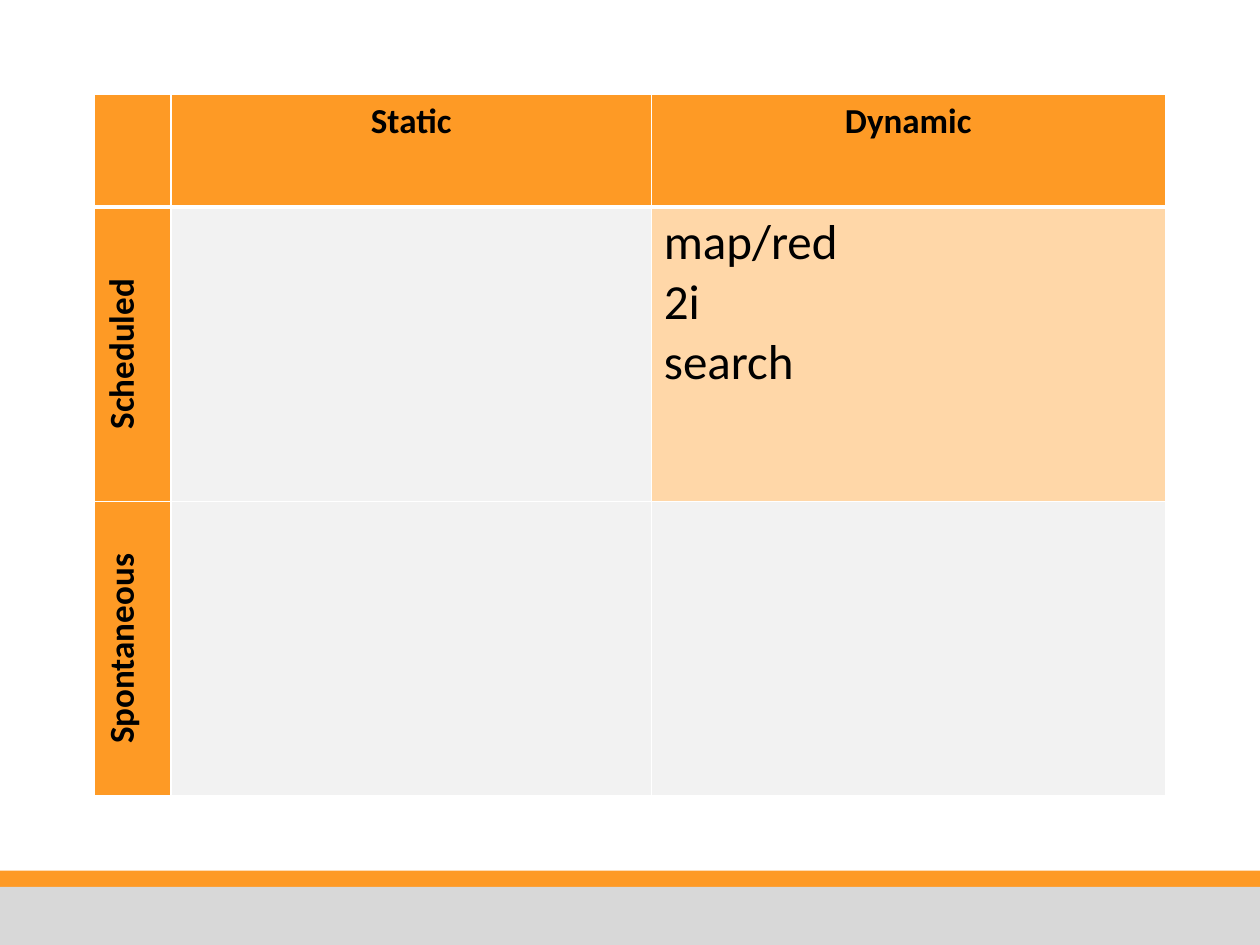
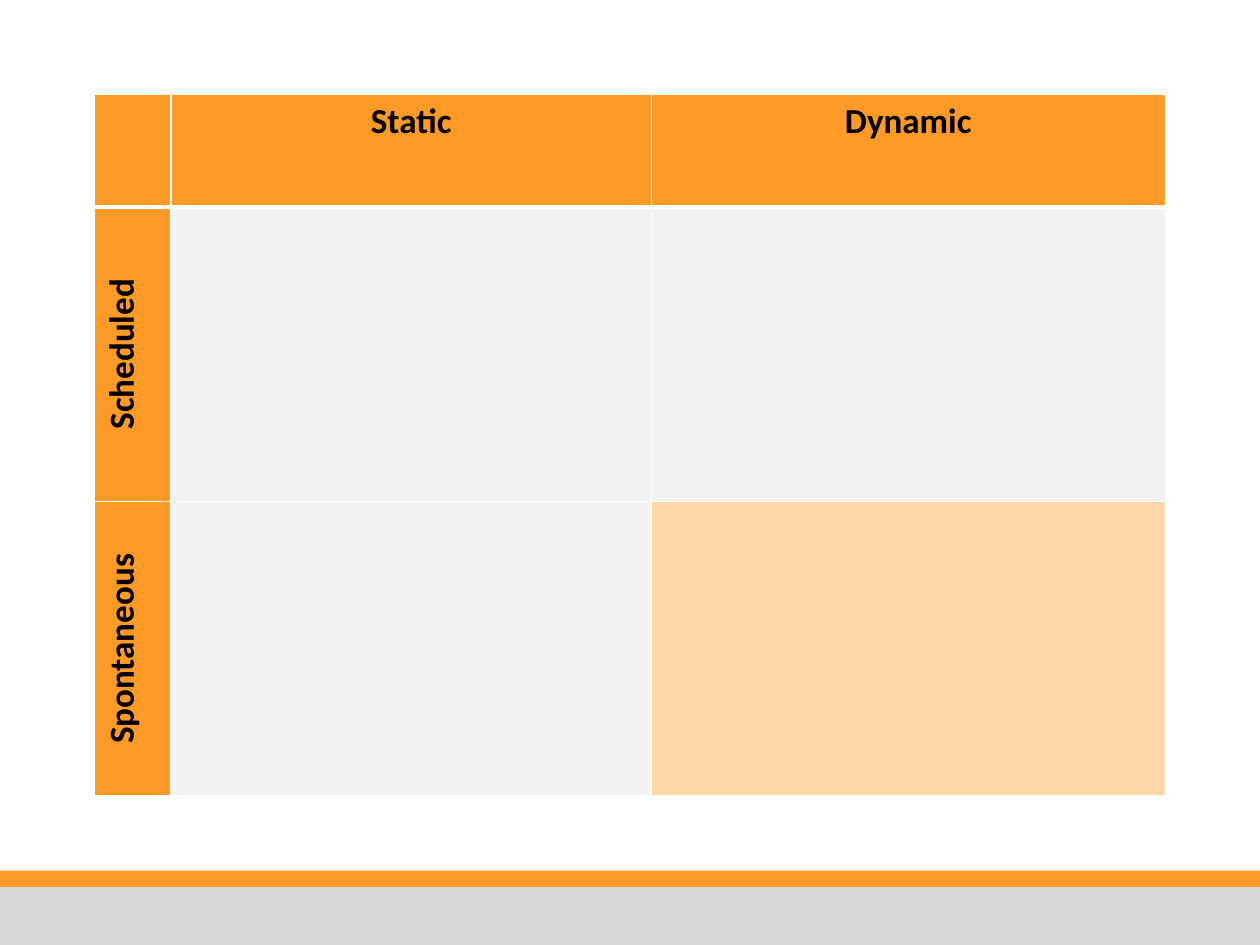
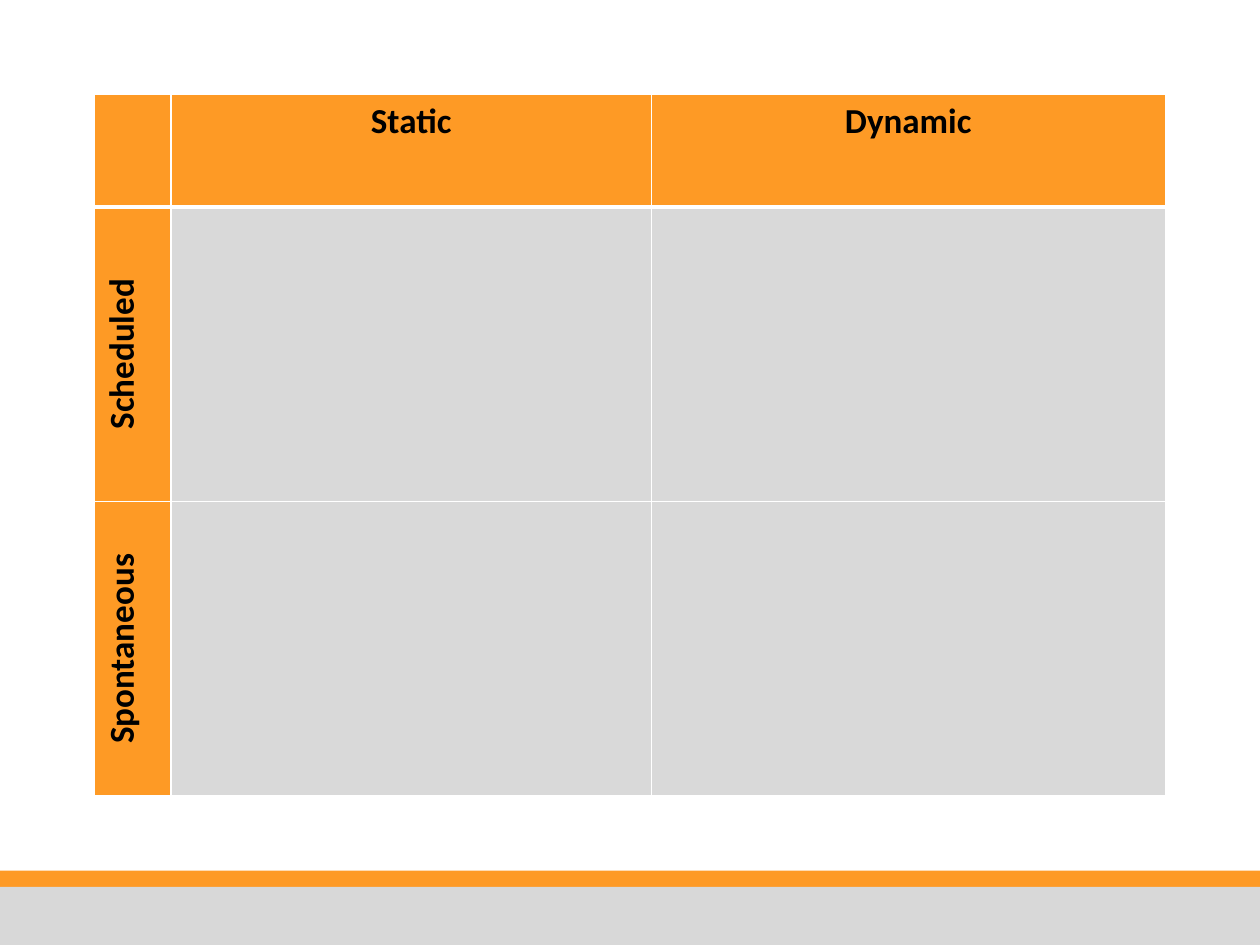
import pptx
import pptx.dml.color
import pptx.enum.shapes
import pptx.enum.text
import pptx.oxml
import pptx.oxml.ns
import pptx.util

Cm, Pt = pptx.util.Cm, pptx.util.Pt
Align = pptx.enum.text.PP_ALIGN

# Shared style
ORANGE, PEACH = "FE9A25", "FFD7A8"
PALE, GREY, BAND = "F2F2F2", "D9D9D9", "D8D8D8"
WHITE, BLACK = "FFFFFF", "000000"
FONT = "Calibri"

# Table grid
EDGE = 1.9
COLS = [1.55, 9.68, 10.36]
ROWS = [2.27, 5.94, 5.94]
HEADS = ["", "Static", "Dynamic"]
SIDES = ["", "Scheduled", "Spontaneous"]


def color(code):
    return pptx.dml.color.RGBColor.from_string(code)


class Deck:
    def __init__(self):
        self.prs = pptx.Presentation()
        self.prs.slide_width, self.prs.slide_height = Cm(25.4), Cm(19.05)
        self.slide = None

    def start(self):
        self.slide = self.prs.slides.add_slide(self.prs.slide_layouts[6])

    def band(self, top, height, fill, num):
        """Draw a full-width band and move it to the slide master."""
        bar = self.slide.shapes.add_shape(
            pptx.enum.shapes.MSO_SHAPE.RECTANGLE,
            0, Cm(top), self.prs.slide_width, Cm(height))
        bar.shadow.inherit = False
        bar.fill.solid()
        bar.fill.fore_color.rgb = color(fill)
        bar.line.fill.background()
        bar.element.xpath(".//p:cNvPr")[0].set("id", str(num))
        self.prs.slide_master.shapes.element.append(bar.element)

    def border(self, cell, top, bottom):
        props = cell._tc.get_or_add_tcPr()
        widths = {"L": 1, "R": 1, "T": top, "B": bottom}
        for spot, (side, width) in enumerate(widths.items()):
            props.insert(spot, pptx.oxml.parse_xml(
                f'<a:ln{side} {pptx.oxml.ns.nsdecls("a")} w="{Pt(width)}">'
                f'<a:solidFill><a:srgbClr val="{WHITE}"/></a:solidFill>'
                f'</a:ln{side}>'))

    def label(self, cell, text, size, bold, align):
        cell.text_frame.text = text
        for para in cell.text_frame.paragraphs:
            para.alignment = align
            for run in para.runs:
                run.font.name, run.font.size = FONT, Pt(size)
                run.font.bold = bold
                run.font.color.rgb = color(BLACK)

    def matrix(self, base, focus=None, note=""):
        """Draw the 2 x 2 matrix; focus is the (row, column) to stress."""
        table = self.slide.shapes.add_table(
            len(ROWS), len(COLS), Cm(EDGE), Cm(EDGE),
            Cm(sum(COLS)), Cm(sum(ROWS))).table
        table.horz_banding = False
        for col, width in zip(table.columns, COLS):
            col.width = Cm(width)
        for r, height in enumerate(ROWS):
            table.rows[r].height = Cm(height)
            for c in range(len(COLS)):
                cell = table.cell(r, c)
                head = r == 0 or c == 0
                fill = ORANGE if head else PEACH if (r, c) == focus else base
                cell.fill.solid()
                cell.fill.fore_color.rgb = color(fill)
                self.border(cell, 3 if r == 1 else 1, 3 if r == 0 else 1)
                if head:
                    name = HEADS[c] if r == 0 else SIDES[r]
                    self.label(cell, name, 20, True, Align.CENTER)
                    if r:
                        cell._tc.get_or_add_tcPr().set("vert", "vert270")
                elif (r, c) == focus and note:
                    self.label(cell, note, 28, False, Align.LEFT)


def main():
    deck = Deck()

    # Scheduled and dynamic, with the shared footer bands
    deck.start()
    deck.band(17.55, 0.43, ORANGE, 101)
    deck.band(17.88, 1.17, BAND, 102)
    deck.matrix(PALE, (1, 2), "map/red\n2i\nsearch")

    # Spontaneous and dynamic
    deck.start()
    deck.matrix(PALE, (2, 2))

    # Empty matrix
    deck.start()
    deck.matrix(GREY)

    deck.prs.save("out.pptx")


if __name__ == "__main__":
    main()
